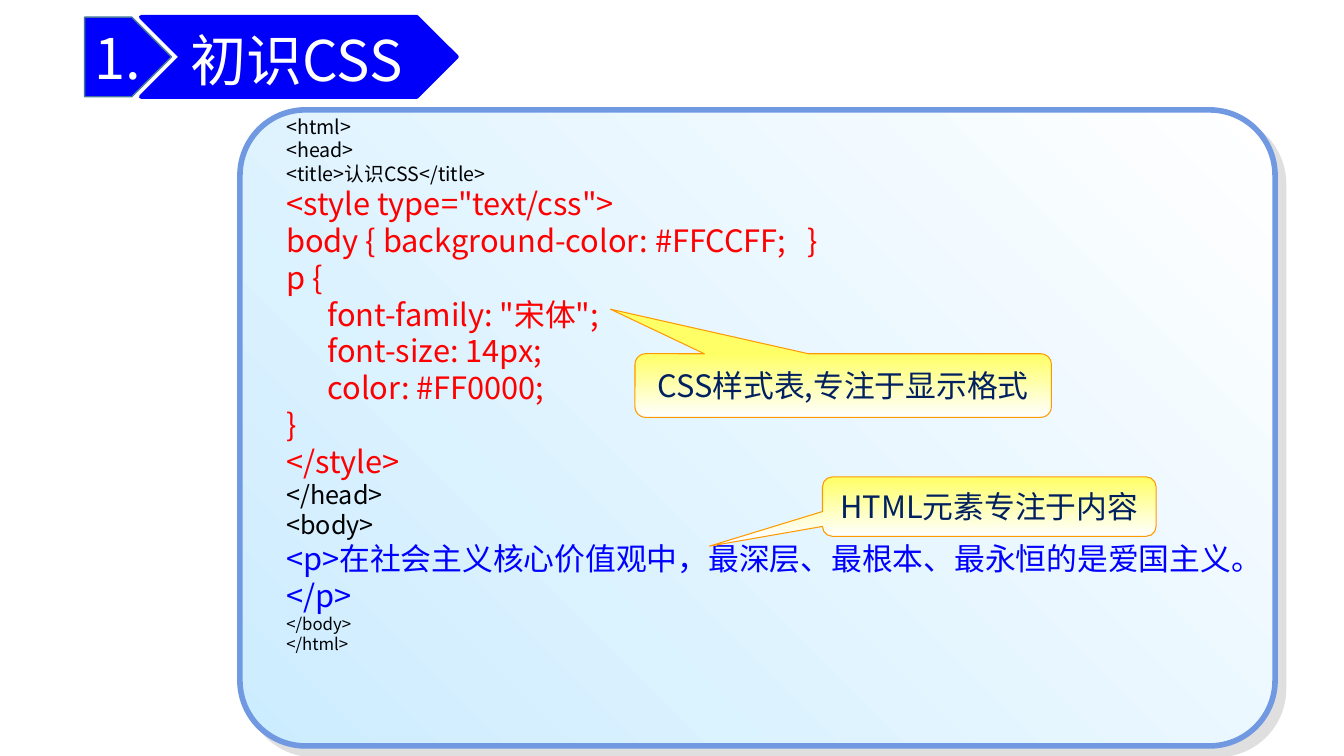
import lxml.etree
import pptx
import pptx.dml.color
import pptx.enum.shapes
import pptx.enum.text
import pptx.oxml.ns
import pptx.util

Pt = pptx.util.Pt
SHAPE = pptx.enum.shapes.MSO_SHAPE
ALIGN = pptx.enum.text.PP_ALIGN
FONT_NAME = "Noto Sans CJK SC"
LINE_HEIGHT = 1.195

# Code lines grouped by size and colour
CODE_BLOCKS = [
    (14, "000000", ["<html>", "<head>", "<title>认识CSS</title>"]),
    (22, "FF0000", [
        '<style type="text/css">',
        "body { background-color: #FFCCFF;   }",
        "p {",
        '      font-family: "宋体";',
        "      font-size: 14px;",
        "      color: #FF0000;",
        "}",
        "</style>",
    ]),
    (18, "000000", ["</head>", "<body>"]),
    (22, "0000FF", ["<p>在社会主义核心价值观中，最深层、最根本、最永恒的是爱国主义。", "</p>"]),
    (12, "000000", ["</body>", "</html>"]),
]

# Text, box and pointer adjustments of each callout
CALLOUTS = [
    ("CSS样式表,专注于显示格式", (453.6, 252.7, 297.4, 45.4), (-0.559, -1.201, 0.167)),
    ("HTML元素专注于内容", (587.5, 340.6, 238.3, 42.5), (-0.839, 0.665, 0.167)),
]


def color(value):
    return pptx.dml.color.RGBColor.from_string(value)


def set_all(target, values):
    for name, value in values.items():
        setattr(target, name, value)


def add_element(parent, tag, **attributes):
    element = lxml.etree.SubElement(parent, pptx.oxml.ns.qn(tag))
    for name, value in attributes.items():
        element.set(name, value)
    return element


def write(paragraph, text, size, text_color, alignment=ALIGN.LEFT):
    paragraph.alignment = alignment
    run = paragraph.add_run()
    run.text = text
    set_all(run.font, {"name": FONT_NAME, "size": Pt(size), "bold": False})
    run.font.color.rgb = color(text_color)
    add_element(run.font._element, "a:ea", typeface=FONT_NAME)


def format_frame(frame, margins, anchor):
    left, top, right, bottom = (Pt(margin) for margin in margins)
    set_all(frame, {
        "word_wrap": True,
        "auto_size": pptx.enum.text.MSO_AUTO_SIZE.NONE,
        "vertical_anchor": anchor,
        "margin_left": left, "margin_top": top,
        "margin_right": right, "margin_bottom": bottom,
    })


def add_shape(slide, kind, box, line_color, line_width, adjustments=()):
    shape = slide.shapes.add_shape(kind, *(Pt(length) for length in box))
    shape.shadow.inherit = False
    shape.line.color.rgb = color(line_color)
    shape.line.width = Pt(line_width)
    for index, value in enumerate(adjustments):
        shape.adjustments[index] = value
    return shape


def fill_solid(shape, fill_color):
    shape.fill.solid()
    shape.fill.fore_color.rgb = color(fill_color)


def fill_gradient(shape, stop_colors, angle):
    shape.fill.gradient()
    shape.fill.gradient_angle = angle
    for stop, stop_color in zip(shape.fill.gradient_stops, stop_colors):
        stop.color.rgb = color(stop_color)


def add_code_panel(slide, box):
    left, top, width, height = box
    panel = add_shape(slide, SHAPE.ROUNDED_RECTANGLE, box, "7099E2", 4, [0.103])
    fill_gradient(panel, ["CCECFF", "FFFFFF"], 45)

    # Soft grey shadow towards the lower right
    effects = panel._element.spPr.find(pptx.oxml.ns.qn("a:effectLst"))
    shadow = add_element(effects, "a:outerShdw", dist=str(Pt(8.5)), dir="2700000",
                         algn="ctr", rotWithShape="0")
    shadow_color = add_element(shadow, "a:srgbClr", val="C0C0C0")
    add_element(shadow_color, "a:alpha", val="50000")

    # Code listing
    listing = slide.shapes.add_textbox(Pt(left + 26), Pt(top), Pt(width - 20), Pt(height - 57))
    frame = listing.text_frame
    format_frame(frame, (7.2, 3.6, 7.2, 3.6), pptx.enum.text.MSO_ANCHOR.TOP)
    lines = [(line, size, text_color)
             for size, text_color, block in CODE_BLOCKS for line in block]
    for index, (line, size, text_color) in enumerate(lines):
        paragraph = frame.add_paragraph() if index else frame.paragraphs[0]
        write(paragraph, line, size, text_color)
        paragraph.line_spacing = Pt(round(size * LINE_HEIGHT, 1))


def add_callout(slide, text, box, adjustments):
    callout = add_shape(slide, SHAPE.ROUNDED_RECTANGULAR_CALLOUT, box, "FF9900", 0.75, adjustments)
    fill_gradient(callout, ["FFFF66", "FFFFFF"], 270)
    format_frame(callout.text_frame, (0, 0, 0, 0), pptx.enum.text.MSO_ANCHOR.MIDDLE)
    write(callout.text_frame.paragraphs[0], text, 22, "002060", ALIGN.CENTER)


def add_heading(slide, box):
    left, top, width, height = box
    middle = pptx.enum.text.MSO_ANCHOR.MIDDLE

    # Number tag
    tag = add_shape(slide, SHAPE.PENTAGON, (left, top, 62, height), "43739E", 1)
    fill_solid(tag, "0000FF")
    format_frame(tag.text_frame, (7.2, 3.6, 0, 3.6), middle)
    write(tag.text_frame.paragraphs[0], "1.", 40, "FFFFFF")

    # Banner behind the title
    banner = add_shape(slide, SHAPE.CHEVRON, (left + 40.3, top, width - 40.3, height), "0000FF", 3)
    fill_solid(banner, "0000FA")

    # Title, brought in front of the banner
    title = slide.shapes.title
    set_all(title, {"left": Pt(left - 21.6), "top": Pt(top - 8.6),
                    "width": Pt(width + 77.8), "height": Pt(height + 20.9)})
    format_frame(title.text_frame, (2.9, 1.4, 0, 1.4), middle)
    write(title.text_frame.paragraphs[0], "初识CSS", 40, "FFFFFF", ALIGN.CENTER)
    banner._element.addnext(title._element)


def main():
    presentation = pptx.Presentation()
    set_all(presentation, {"slide_width": Pt(960), "slide_height": Pt(540)})
    slide = presentation.slides.add_slide(presentation.slide_layouts[5])
    add_code_panel(slide, (171.4, 78.5, 739.4, 454.3))
    for text, box, adjustments in CALLOUTS:
        add_callout(slide, text, box, adjustments)
    add_heading(slide, (60.5, 12.2, 265.7, 56.9))
    presentation.save("out.pptx")


if __name__ == "__main__":
    main()
